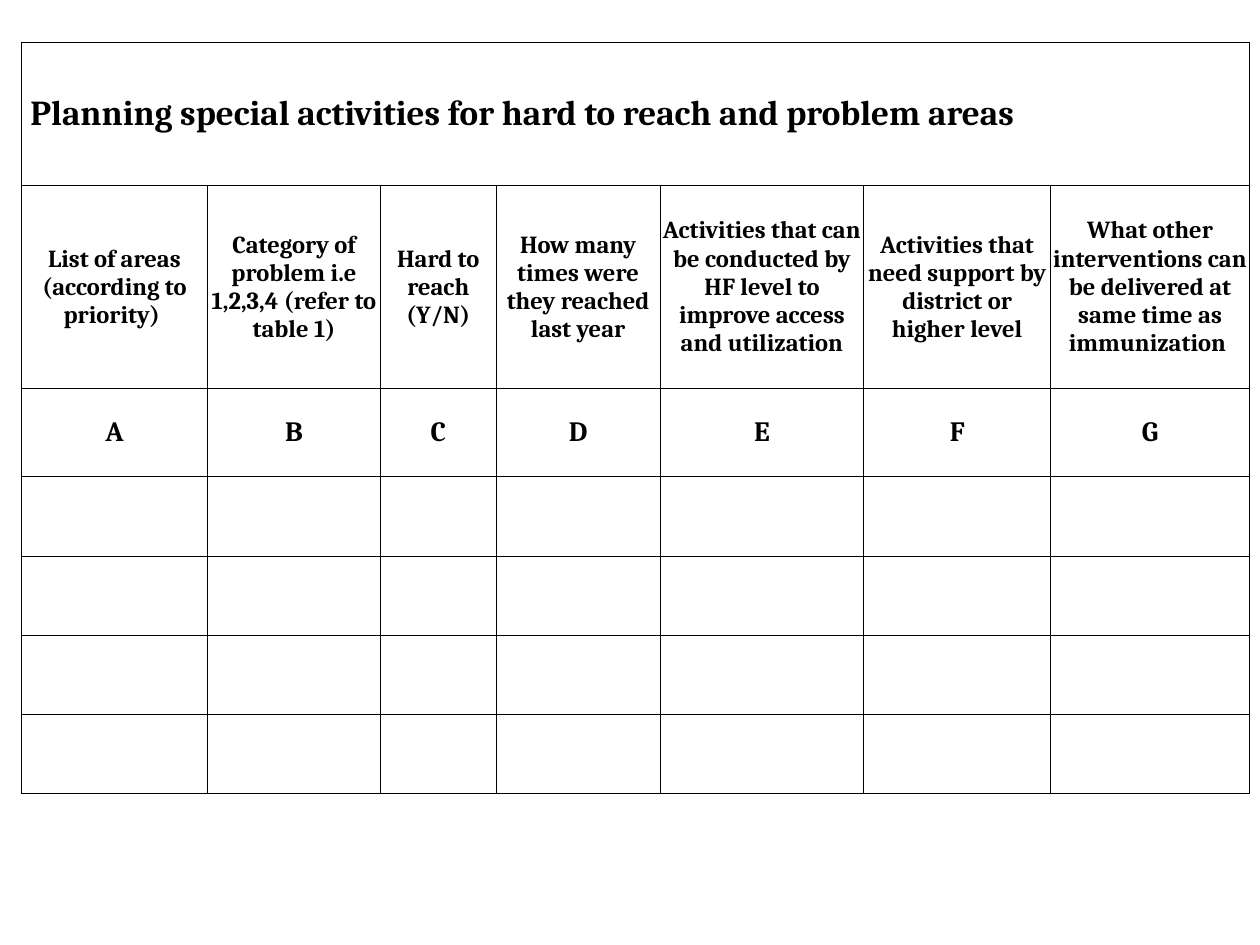
from dataclasses import dataclass

from lxml import etree
from pptx import Presentation
from pptx.dml.color import RGBColor
from pptx.enum.text import MSO_ANCHOR, PP_ALIGN
from pptx.oxml.ns import qn
from pptx.util import Pt

BLACK = RGBColor(0, 0, 0)
LEFT, CENTER = PP_ALIGN.LEFT, PP_ALIGN.CENTER
MIDDLE = MSO_ANCHOR.MIDDLE
FONT_NAME = "Cambria"
BORDER_WIDTH = Pt(0.45)
BORDER_SIDES = ("a:lnL", "a:lnR", "a:lnT", "a:lnB")

COLUMN_WIDTHS = (106.5, 98.7, 66.2, 93.7, 116.4, 106.7, 113.8)
BLANK_ROWS = 4
BLANK_HEIGHT = 45.2

CELL_FORMAT = {
    "margin_left": Pt(0.8),
    "margin_right": Pt(0.8),
    "margin_top": Pt(3.6),
    "margin_bottom": Pt(3.6),
    "vertical_anchor": MIDDLE,
}


@dataclass(frozen=True)
class TextRow:
    texts: tuple[str, ...]
    height: float
    size: float
    alignment: PP_ALIGN = CENTER


TEXT_ROWS = (
    TextRow(
        (" Planning special activities for hard to reach and problem areas",),
        82.2, 20, LEFT,
    ),
    TextRow(
        (
            "List of areas (according to priority) ",
            "Category of problem i.e 1,2,3,4 (refer to table 1)",
            "Hard to reach (Y/N)",
            "How many times were they reached last year",
            "Activities that can be conducted by HF level to improve access and utilization",
            "Activities that need support by district or higher level",
            "What other interventions can be delivered at same time as immunization ",
        ),
        116, 14,
    ),
    TextRow(tuple("ABCDEFG"), 50.3, 16),
)


def apply_format(target, values: dict) -> None:
    for name, value in values.items():
        setattr(target, name, value)


def add_borders(cell) -> None:
    properties = cell._tc.get_or_add_tcPr()
    for side in BORDER_SIDES:
        line = etree.SubElement(properties, qn(side), w=str(BORDER_WIDTH))
        fill = etree.SubElement(line, qn("a:solidFill"))
        etree.SubElement(fill, qn("a:srgbClr"), val=str(BLACK))


def write_cell(cell, text: str, row: TextRow) -> None:
    apply_format(cell, CELL_FORMAT)
    para = cell.text_frame.paragraphs[0]
    para.alignment = row.alignment
    span = para.add_run()
    span.text = text
    apply_format(span.font, {"name": FONT_NAME, "size": Pt(row.size), "bold": True})
    span.font.color.rgb = BLACK


def add_planning_table(page) -> None:
    heights = [row.height for row in TEXT_ROWS] + [BLANK_HEIGHT] * BLANK_ROWS
    table = page.shapes.add_table(
        len(heights), len(COLUMN_WIDTHS),
        Pt(12.2), Pt(24), Pt(sum(COLUMN_WIDTHS)), Pt(sum(heights)),
    ).table
    apply_format(table, {"first_row": False, "horz_banding": False})
    for column, width in zip(table.columns, COLUMN_WIDTHS):
        column.width = Pt(width)
    for table_row, height in zip(table.rows, heights):
        table_row.height = Pt(height)
    for cell in table.iter_cells():
        add_borders(cell)
        cell.fill.background()
    table.cell(0, 0).merge(table.cell(0, len(COLUMN_WIDTHS) - 1))
    for row_index, row in enumerate(TEXT_ROWS):
        for column_index, text in enumerate(row.texts):
            write_cell(table.cell(row_index, column_index), text, row)


def main() -> None:
    deck = Presentation()
    apply_format(deck, {"slide_width": Pt(720), "slide_height": Pt(540)})
    page = deck.slides.add_slide(deck.slide_layouts[6])
    add_planning_table(page)
    deck.save("out.pptx")


if __name__ == "__main__":
    main()
